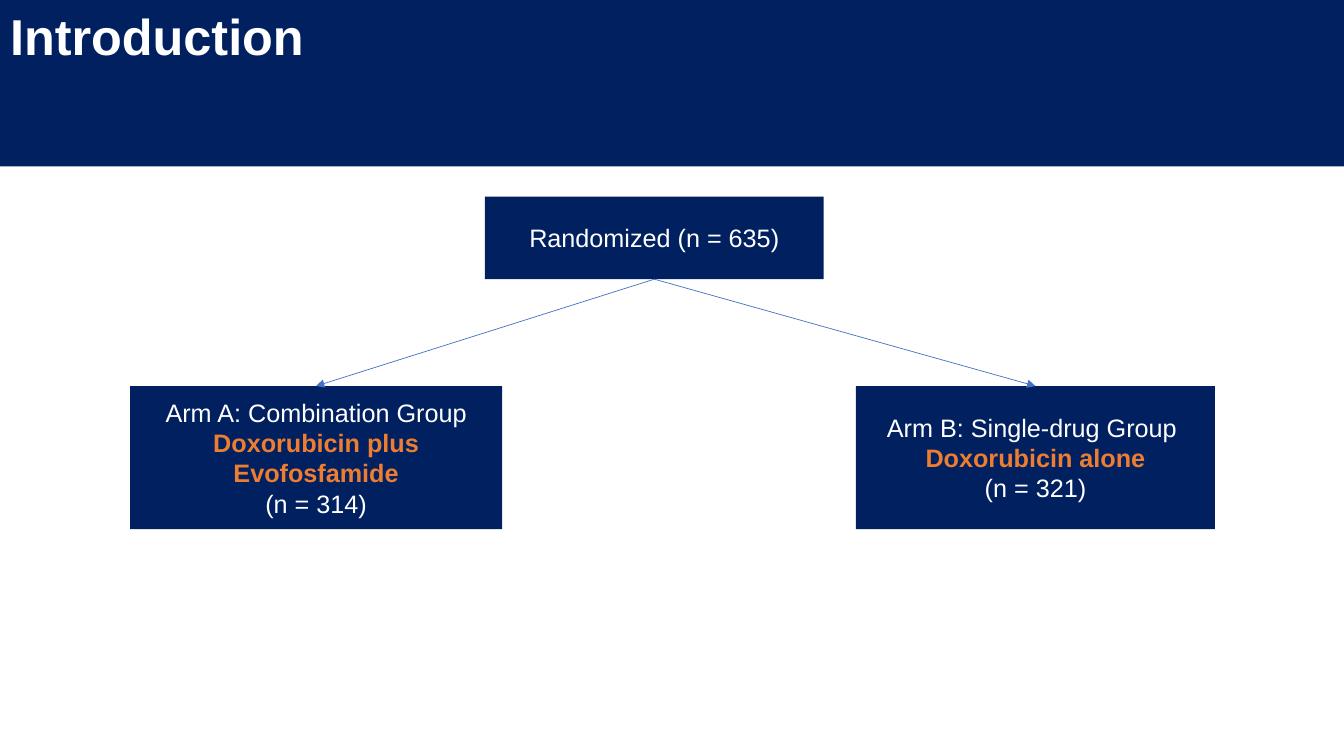
"""Build the Introduction slide showing the two randomized trial arms."""
import lxml.etree
import pptx
import pptx.dml.color
import pptx.enum.shapes
import pptx.enum.text
import pptx.oxml.ns
import pptx.util

Inches = pptx.util.Inches
RGBColor = pptx.dml.color.RGBColor
RECTANGLE = pptx.enum.shapes.MSO_SHAPE.RECTANGLE
ALIGN = pptx.enum.text.PP_ALIGN
ANCHOR = pptx.enum.text.MSO_ANCHOR

NAVY = RGBColor(0x00, 0x20, 0x60)
WHITE = RGBColor(0xFF, 0xFF, 0xFF)
ORANGE = RGBColor(0xED, 0x7D, 0x31)
BLUE = RGBColor(0x44, 0x72, 0xC4)


def write(paragraph, text, size=18, color=WHITE, bold=False, align=ALIGN.CENTER):
    paragraph.alignment = align
    run = paragraph.add_run()
    run.text = text
    run.font.name = "Arial"
    run.font.size = pptx.util.Pt(size)
    run.font.bold = bold
    run.font.color.rgb = color


def add_navy_box(slide, left, top, width, height):
    box = slide.shapes.add_shape(
        RECTANGLE, Inches(left), Inches(top), Inches(width), Inches(height))
    box.shadow.inherit = False
    box.fill.solid()
    box.fill.fore_color.rgb = NAVY
    box.line.fill.background()
    box.text_frame.word_wrap = True
    box.text_frame.vertical_anchor = ANCHOR.MIDDLE
    return box


presentation = pptx.Presentation()
presentation.slide_width = Inches(13.33)
presentation.slide_height = Inches(7.5)
slide = presentation.slides.add_slide(presentation.slide_layouts[5])

heading = slide.shapes.title
heading.left, heading.top = Inches(0), Inches(0)
heading.width, heading.height = Inches(3.75), Inches(0.71)
heading.text_frame.vertical_anchor = ANCHOR.TOP
heading.text_frame.auto_size = pptx.enum.text.MSO_AUTO_SIZE.SHAPE_TO_FIT_TEXT
write(heading.text_frame.paragraphs[0], "Introduction", size=36, bold=True, align=ALIGN.LEFT)

header_band = add_navy_box(slide, 0, 0, 13.33, 1.65)
heading.element.addprevious(header_band.element)

randomized = add_navy_box(slide, 4.81, 1.95, 3.36, 0.82)
write(randomized.text_frame.paragraphs[0], "Randomized (n = 635)")

arms = [
    (1.29, 3.69, "Arm A: Combination Group", "Doxorubicin plus Evofosfamide", "(n = 314)"),
    (8.49, 3.56, "Arm B: Single-drug Group ", "Doxorubicin alone", "(n = 321)"),
]
for left, width, group, treatment, patients in arms:
    arm = add_navy_box(slide, left, 3.83, width, 1.42)
    write(arm.text_frame.paragraphs[0], group)
    write(arm.text_frame.add_paragraph(), treatment, color=ORANGE, bold=True)
    write(arm.text_frame.add_paragraph(), patients)

    allocation = slide.shapes.add_connector(
        pptx.enum.shapes.MSO_CONNECTOR.STRAIGHT, 0, 0, 0, 0)
    allocation.begin_connect(randomized, 2)
    allocation.end_connect(arm, 0)
    allocation.line.color.rgb = BLUE
    allocation.line.width = pptx.util.Pt(0.5)
    properties = allocation.element.spPr
    outline = properties.find(pptx.oxml.ns.qn("a:ln"))
    lxml.etree.SubElement(outline, pptx.oxml.ns.qn("a:tailEnd"), type="triangle")
    lxml.etree.SubElement(properties, pptx.oxml.ns.qn("a:effectLst"))

presentation.save("out.pptx")
